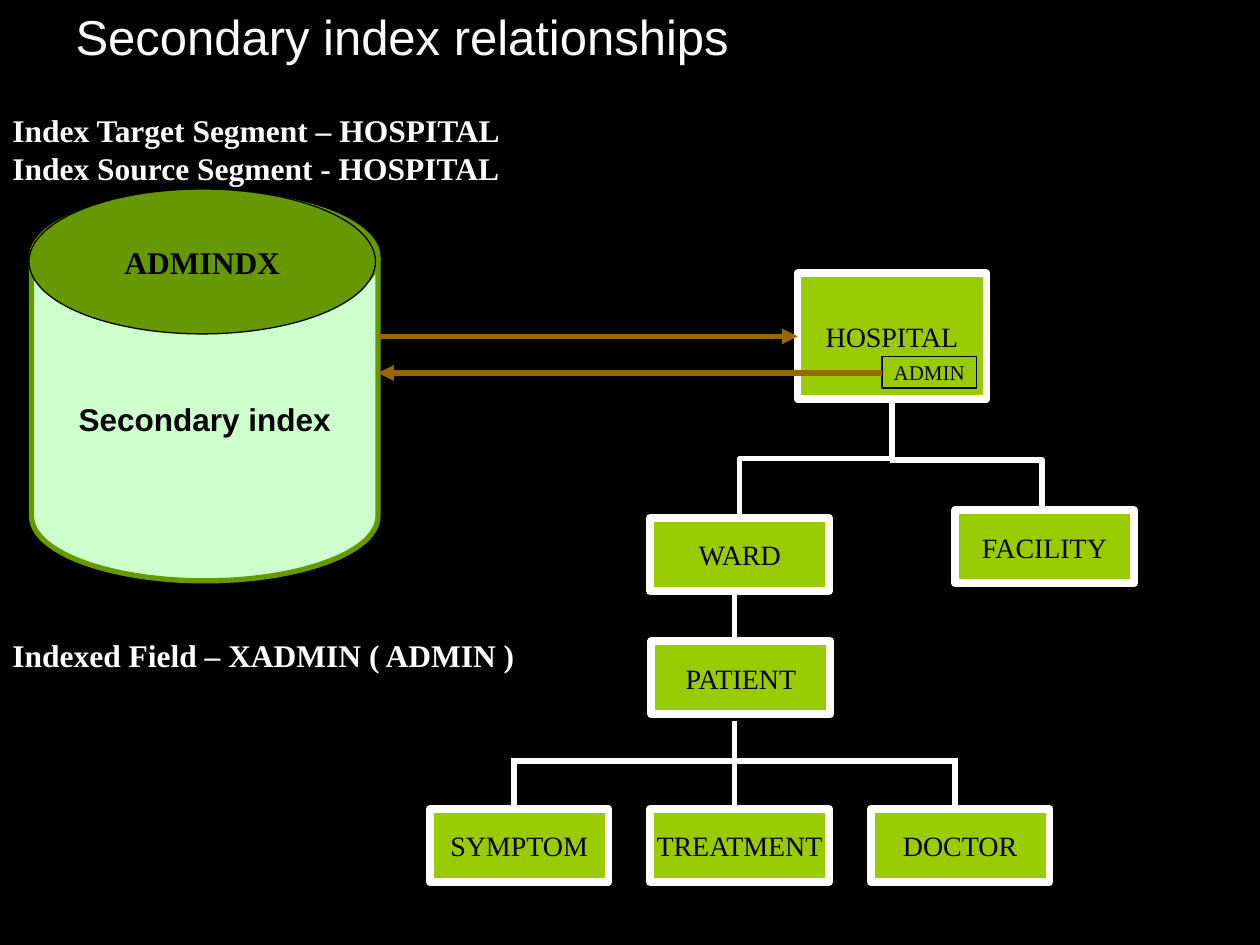
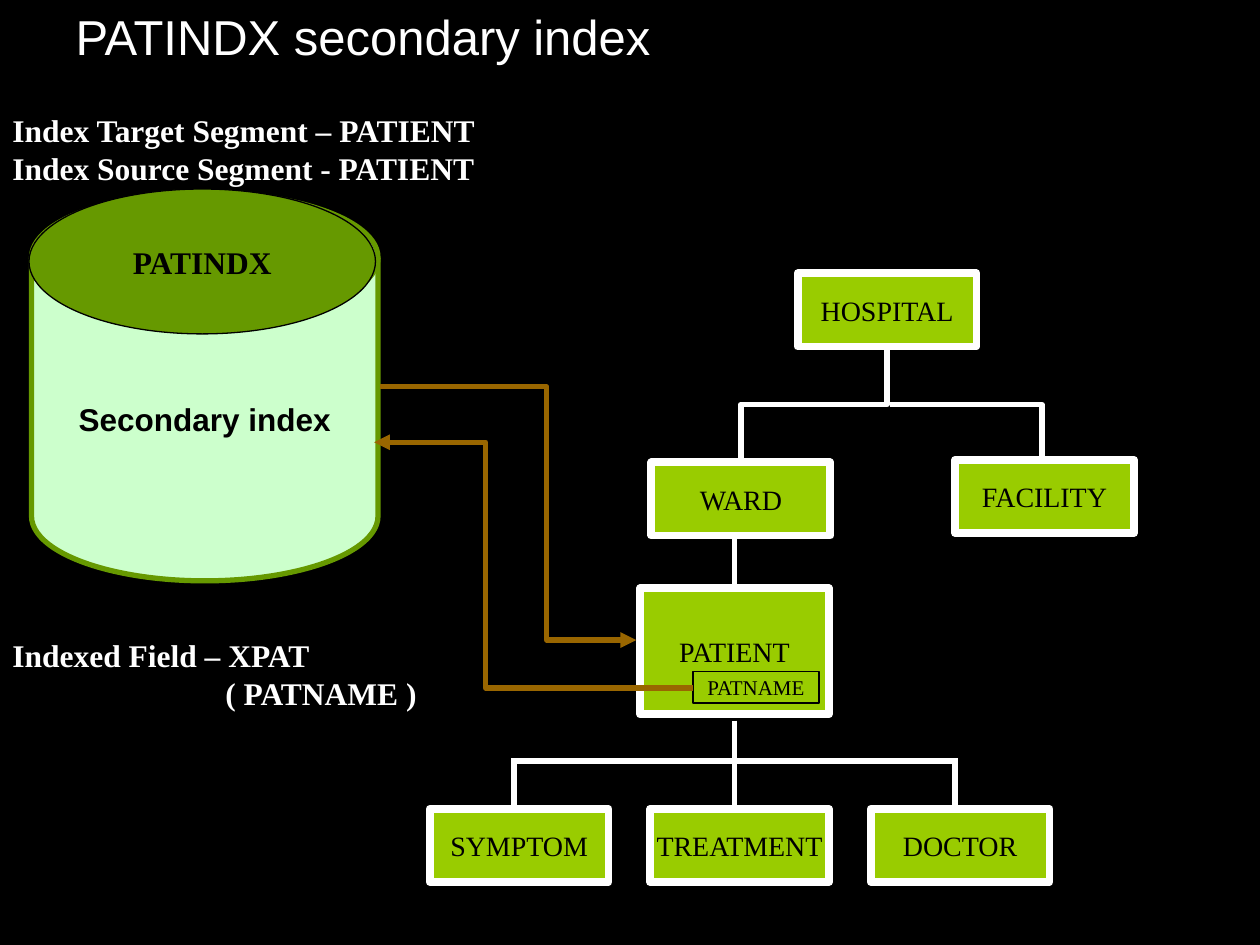
from dataclasses import dataclass
from typing import Optional

import pptx
import pptx.dml.color
import pptx.enum.dml
import pptx.enum.shapes
import pptx.enum.text
import pptx.oxml.ns
import pptx.oxml.xmlchemy
import pptx.util
from lxml import etree
from pptx.util import Inches

SHAPE = pptx.enum.shapes.MSO_SHAPE
ALIGN = pptx.enum.text.PP_ALIGN
ANCHOR = pptx.enum.text.MSO_ANCHOR

# Shared look
BLACK, WHITE = "000000", "FFFFFF"
SEGMENT_GREEN, DISK_BODY, DISK_GREEN = "99CC00", "CCFFCC", "669900"
POINTER_BROWN = "996600"
SANS, SERIF = "Arial", "Times New Roman"

# Database tree: the trunk runs down one column, its leaves stand at equal steps
SEGMENT_WIDTH, SEGMENT_HEIGHT = 1.42, 0.58
TRUNK_X, LEAF_STEP = 5.83, 1.75
LEAF_BAR_Y, LEAF_TOP = 6.04, 6.42
LEAVES = ("SYMPTOM", "TREATMENT", "DOCTOR")


@dataclass(frozen=True)
class Style:
    fill: str
    line: str
    line_width: float
    size: float
    font: str = SERIF
    bold: bool = False


@dataclass(frozen=True)
class Box:
    label: str
    left: float
    top: float
    width: float = SEGMENT_WIDTH
    height: float = SEGMENT_HEIGHT


@dataclass(frozen=True)
class Line:
    x1: float
    y1: float
    x2: float
    y2: float
    color: str = WHITE
    arrow: str = ""  # "headEnd" or "tailEnd"
    bend: Optional[float] = None  # share of the width where an elbow turns


@dataclass(frozen=True)
class IndexSlide:
    title: str
    index_name: str
    target: str
    field_lines: tuple[str, ...]
    field_width: float
    segments: tuple[Box, ...]
    fork: Line  # from the root down to the left child
    fork_corner: Line  # from the fork right and down to the other child
    ward_link: Line
    field: Box
    pointers: tuple[Line, ...]


SEGMENT = Style(SEGMENT_GREEN, WHITE, 4.5, 16)
FIELD = Style(SEGMENT_GREEN, BLACK, 1, 12)
DISK = Style(DISK_BODY, DISK_GREEN, 3, 18, SANS, True)
DISK_TOP = Style(DISK_GREEN, BLACK, 0.75, 18, SERIF, True)

SLIDES = (
    IndexSlide(
        title="Secondary index relationships",
        index_name="ADMINDX",
        target="HOSPITAL",
        field_lines=("Indexed Field – XADMIN ( ADMIN )",),
        field_width=4.33,
        segments=(
            Box("WARD", 5.16, 4.11),
            Box("PATIENT", 5.17, 5.09),
            Box("FACILITY", 7.58, 4.05),
            Box("HOSPITAL", 6.33, 2.17, 1.5, 1),
        ),
        fork=Line(7.08, 3.2, 5.87, 4.08),
        fork_corner=Line(7.06, 3.65, 8.27, 4.06),
        ward_link=Line(TRUNK_X, 4.67, TRUNK_X, 5.07),
        field=Box("ADMIN", 7, 2.83, 0.75, 0.25),
        pointers=(
            Line(3, 2.67, 6.33, 2.67, POINTER_BROWN, "tailEnd"),
            Line(7, 2.96, 3, 2.96, POINTER_BROWN, "tailEnd"),
        ),
    ),
    IndexSlide(
        title="PATINDX secondary index",
        index_name="PATINDX",
        target="PATIENT",
        field_lines=("Indexed Field – XPAT", "( PATNAME )"),
        field_width=3.58,
        segments=(
            Box("WARD", 5.17, 3.67),
            Box("PATIENT", 5.08, 4.67, 1.5, 1),
            Box("FACILITY", 7.58, 3.65),
            Box("HOSPITAL", 6.33, 2.17),
        ),
        fork=Line(7.04, 2.78, 5.88, 3.64),
        fork_corner=Line(7.06, 3.21, 8.27, 3.63),
        ward_link=Line(TRUNK_X, 4.27, TRUNK_X, 4.67),
        field=Box("PATNAME", 5.5, 5.33, 1, 0.25),
        pointers=(
            Line(3.02, 3.07, 5.05, 5.08, POINTER_BROWN, "tailEnd", 0.65),
            Line(2.97, 3.51, 5.5, 5.46, POINTER_BROWN, "headEnd", 0.35),
        ),
    ),
)


def rgb(color: str) -> pptx.dml.color.RGBColor:
    return pptx.dml.color.RGBColor.from_string(color)


def format_text(text_frame, size: float, font: str, color: str, bold: bool, align) -> None:
    for paragraph in text_frame.paragraphs:
        paragraph.alignment = align
        for run in paragraph.runs:
            run.font.size = pptx.util.Pt(size)
            run.font.name = font
            run.font.bold = bold
            run.font.color.rgb = rgb(color)


def add_box(slide, box: Box, style: Style, kind=SHAPE.RECTANGLE) -> None:
    shape = slide.shapes.add_shape(
        kind, Inches(box.left), Inches(box.top), Inches(box.width), Inches(box.height)
    )
    shape.shadow.inherit = False
    shape.fill.solid()
    shape.fill.fore_color.rgb = rgb(style.fill)
    shape.line.color.rgb = rgb(style.line)
    shape.line.width = pptx.util.Pt(style.line_width)
    text_frame = shape.text_frame
    text_frame.text = box.label
    text_frame.word_wrap = False
    text_frame.vertical_anchor = ANCHOR.MIDDLE
    format_text(text_frame, style.size, style.font, BLACK, style.bold, ALIGN.CENTER)


def add_note(slide, lines: tuple[str, ...], top: float, width: float):
    height = 0.1 + 0.3 * len(lines)
    note = slide.shapes.add_textbox(0, Inches(top), Inches(width), Inches(height))
    text_frame = note.text_frame
    text_frame.word_wrap = True
    text_frame.text = "\n".join(lines)
    format_text(text_frame, 18, SERIF, WHITE, True, ALIGN.LEFT)
    return text_frame


def add_line(slide, line: Line):
    kinds = pptx.enum.shapes.MSO_CONNECTOR
    connector = slide.shapes.add_connector(
        kinds.STRAIGHT if line.bend is None else kinds.ELBOW,
        Inches(line.x1), Inches(line.y1), Inches(line.x2), Inches(line.y2),
    )
    connector.line.color.rgb = rgb(line.color)
    connector.line.width = pptx.util.Pt(3)
    properties = connector.element.spPr
    qn = pptx.oxml.ns.qn
    etree.SubElement(properties, qn("a:effectLst"))
    if line.arrow:
        etree.SubElement(properties.find(qn("a:ln")), qn(f"a:{line.arrow}"), type="triangle")
    if line.bend is not None:
        guides = properties.find(qn("a:prstGeom")).get_or_add_avLst()
        etree.SubElement(
            guides, qn("a:gd"), name="adj1", fmla=f"val {round(line.bend * 100000)}"
        )
    return connector


def add_fork(slide, line: Line) -> None:
    """Elbow that leaves downwards: a lying elbow turned by 90 degrees."""
    length, spread = line.y2 - line.y1, line.x1 - line.x2
    center_x, center_y = (line.x1 + line.x2) / 2, (line.y1 + line.y2) / 2
    left, top = center_x - length / 2, center_y - spread / 2
    connector = add_line(slide, Line(left, top, left + length, top + spread, bend=0.5))
    connector.element.spPr.find(pptx.oxml.ns.qn("a:xfrm")).set("rot", str(90 * 60000))


def add_corner(slide, line: Line) -> None:
    """Elbow with one turn: across, then down."""
    connector = add_line(slide, line)
    geometry = connector.element.spPr.find(pptx.oxml.ns.qn("a:prstGeom"))
    geometry.set("prst", "bentConnector2")


def add_title(slide, text: str) -> None:
    title = slide.shapes.title
    title.left, title.top = Inches(0.5), Inches(0)
    title.width, title.height = Inches(6.17), Inches(0.57)
    text_frame = title.text_frame
    text_frame.text = text
    text_frame.word_wrap = True
    text_frame.auto_size = pptx.enum.text.MSO_AUTO_SIZE.NONE
    text_frame.vertical_anchor = ANCHOR.TOP
    format_text(text_frame, 28, SANS, WHITE, False, ALIGN.LEFT)


def add_leaves(slide) -> None:
    first_x, last_x = TRUNK_X - LEAF_STEP, TRUNK_X + LEAF_STEP
    for position, label in enumerate(LEAVES):
        x = first_x + position * LEAF_STEP
        add_box(slide, Box(label, x - 0.67, LEAF_TOP), SEGMENT)
        start = 5.72 if x == TRUNK_X else LEAF_BAR_Y - 0.02
        add_line(slide, Line(x, start, x, LEAF_TOP))
    add_line(slide, Line(first_x, LEAF_BAR_Y, last_x, LEAF_BAR_Y))


def build_slide(presentation, content: IndexSlide) -> None:
    slide = presentation.slides.add_slide(presentation.slide_layouts[5])
    add_title(slide, content.title)

    # Index disk and its notes
    add_box(slide, Box("Secondary index", 0.25, 1.53, 2.75, 3.08), DISK,
            SHAPE.FLOWCHART_MAGNETIC_DISK)
    add_box(slide, Box(content.index_name, 0.23, 1.5, 2.75, 1.15), DISK_TOP, SHAPE.OVAL)
    add_note(slide, (f"Index Target Segment – {content.target}",
                     f"Index Source Segment - {content.target}"), 0.83, 4.33)
    field_note = add_note(slide, content.field_lines, 5, content.field_width)
    for paragraph in field_note.paragraphs[1:]:
        paragraph._p.get_or_add_pPr().set("marL", str(Inches(1.69)))

    # Database tree
    for segment in content.segments:
        add_box(slide, segment, SEGMENT)
    add_leaves(slide)
    add_fork(slide, content.fork)
    add_corner(slide, content.fork_corner)
    add_line(slide, content.ward_link)

    # Indexed field and the pointers between index and tree
    add_box(slide, content.field, FIELD)
    for pointer in content.pointers:
        add_line(slide, pointer)


def main() -> None:
    presentation = pptx.Presentation()
    presentation.slide_width, presentation.slide_height = Inches(10), Inches(7.5)
    background = presentation.slide_master.background.fill
    background.solid()
    background.fore_color.rgb = rgb(BLACK)
    for content in SLIDES:
        build_slide(presentation, content)
    presentation.save("out.pptx")


if __name__ == "__main__":
    main()
